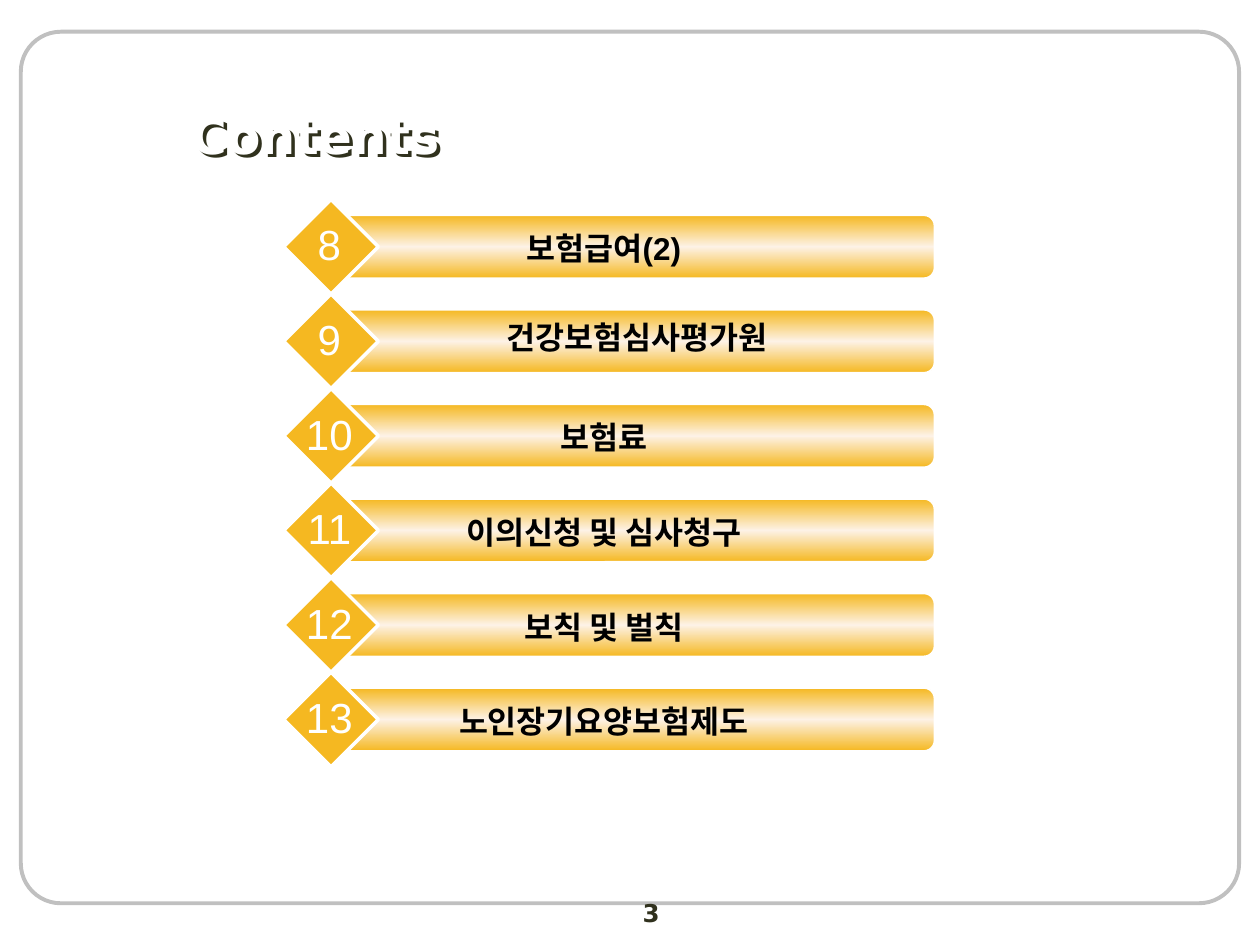
import copy

import pptx
import pptx.dml.color
import pptx.enum.shapes
import pptx.enum.text
import pptx.oxml
import pptx.oxml.ns
import pptx.util

Cm = pptx.util.Cm
Pt = pptx.util.Pt
RGBColor = pptx.dml.color.RGBColor
SHAPES = pptx.enum.shapes.MSO_SHAPE
ALIGN = pptx.enum.text.PP_ALIGN
ANCHOR = pptx.enum.text.MSO_ANCHOR
AUTO_SIZE = pptx.enum.text.MSO_AUTO_SIZE

GOLD = RGBColor(0xF5, 0xB8, 0x21)
CREAM = RGBColor(0xFD, 0xF2, 0xE6)
GRAY = RGBColor(0xC0, 0xC0, 0xC0)
OLIVE = RGBColor(0x30, 0x31, 0x1D)
WHITE = RGBColor(0xFF, 0xFF, 0xFF)
BLACK = RGBColor(0x00, 0x00, 0x00)

CHAPTERS = [
    "보험급여(2)",
    "건강보험심사평가원",
    "보험료",
    "이의신청 및 심사청구",
    "보칙 및 벌칙",
    "노인장기요양보험제도",
]
FIRST_NUMBER = 8
SHIFTED_NUMBER = 9
ROW_PITCH = 9.53 / 5
NUMBER_CENTER = 6.64


class ContentsSlide:
    heading_font = "DejaVu Sans"
    body_font = "Arial"

    def __init__(self, slide):
        self.slide = slide

    def outline(self, kind, left, top, width, height, line_color, line_width):
        shape = self.slide.shapes.add_shape(
            kind, Cm(left), Cm(top), Cm(width), Cm(height)
        )
        shape.shadow.inherit = False
        shape.fill.background()
        shape.line.color.rgb = line_color
        shape.line.width = Pt(line_width)
        return shape

    def frame(self):
        shape = self.outline(
            SHAPES.ROUNDED_RECTANGLE, 0.42, 0.64, 24.56, 17.57, GRAY, 2.25
        )
        shape.adjustments[0] = 0.046

    def bar(self, top):
        shape = self.outline(
            SHAPES.ROUNDED_RECTANGLE, 6.77, top, 12.07, 1.27, WHITE, 1
        )
        shape.adjustments[0] = 0.167
        shape.fill.gradient()
        shape.fill.gradient_angle = 90
        stop_list = shape._element.spPr.find(".//" + pptx.oxml.ns.qn("a:gsLst"))
        stop_list.insert(1, copy.deepcopy(stop_list[0]))
        colors = [(0, GOLD), (0.5, CREAM), (1, GOLD)]
        for stop, (position, color) in zip(shape.fill.gradient_stops, colors):
            stop.position = position
            stop.color.rgb = color

    def diamond(self, top):
        shape = self.outline(SHAPES.DIAMOND, 5.72, top, 1.91, 1.91, WHITE, 2)
        shape.fill.solid()
        shape.fill.fore_color.rgb = GOLD

    def text(self, words, left, top, width, height, size, color,
             font=body_font, bold=False, align=ALIGN.CENTER, wrap=True):
        shape = self.slide.shapes.add_textbox(
            Cm(left), Cm(top), Cm(width), Cm(height)
        )
        frame = shape.text_frame
        frame.word_wrap = wrap
        paragraph = frame.paragraphs[0]
        paragraph.text = words
        paragraph.alignment = align
        paragraph.font.name = font
        paragraph.font.size = Pt(size)
        paragraph.font.bold = bold
        paragraph.font.color.rgb = color
        return shape

    def title(self, words):
        shape = self.text(words, 3.6, 1.98, 20.32, 1.47, 28, WHITE,
                          self.heading_font, True, ALIGN.LEFT)
        shape.text_frame.vertical_anchor = ANCHOR.MIDDLE
        shape._element.spPr.append(pptx.oxml.parse_xml(
            f'<a:effectLst {pptx.oxml.ns.nsdecls("a")}>'
            '<a:outerShdw dist="35921" dir="2700000" algn="ctr" rotWithShape="0">'
            f'<a:srgbClr val="{OLIVE}"/></a:outerShdw></a:effectLst>'
        ))

    def page_number(self, words):
        self.text(words, 10.16, 17.98, 5.93, 0.69, 14, OLIVE,
                  self.heading_font, True)

    def chapter(self, number, name, offset):
        self.bar(4.34 + offset)
        self.diamond(4.02 + offset)
        if number == SHIFTED_NUMBER:
            label = self.text(name, 9.8, 4.39 + offset, 6.1, 1.02,
                              18, BLACK, bold=True, wrap=False)
        else:
            label = self.text(name, 7.41, 4.5 + offset, 9.53, 1.02,
                              18, BLACK, bold=True)
        digits = str(number)
        width = 0.53 + 0.46 * len(digits)
        badge = self.text(digits, NUMBER_CENTER - width / 2, 4.29 + offset,
                          width, 1.27, 24, WHITE, wrap=False)
        for shape in (label, badge):
            shape.text_frame.auto_size = AUTO_SIZE.SHAPE_TO_FIT_TEXT


def main():
    presentation = pptx.Presentation()
    presentation.slide_width = Cm(25.4)
    presentation.slide_height = Cm(19.05)
    contents = ContentsSlide(
        presentation.slides.add_slide(presentation.slide_layouts[6])
    )
    contents.frame()
    contents.page_number("3")
    contents.title("Contents")
    for index, name in enumerate(CHAPTERS):
        contents.chapter(FIRST_NUMBER + index, name, index * ROW_PITCH)
    presentation.save("out.pptx")


if __name__ == "__main__":
    main()
